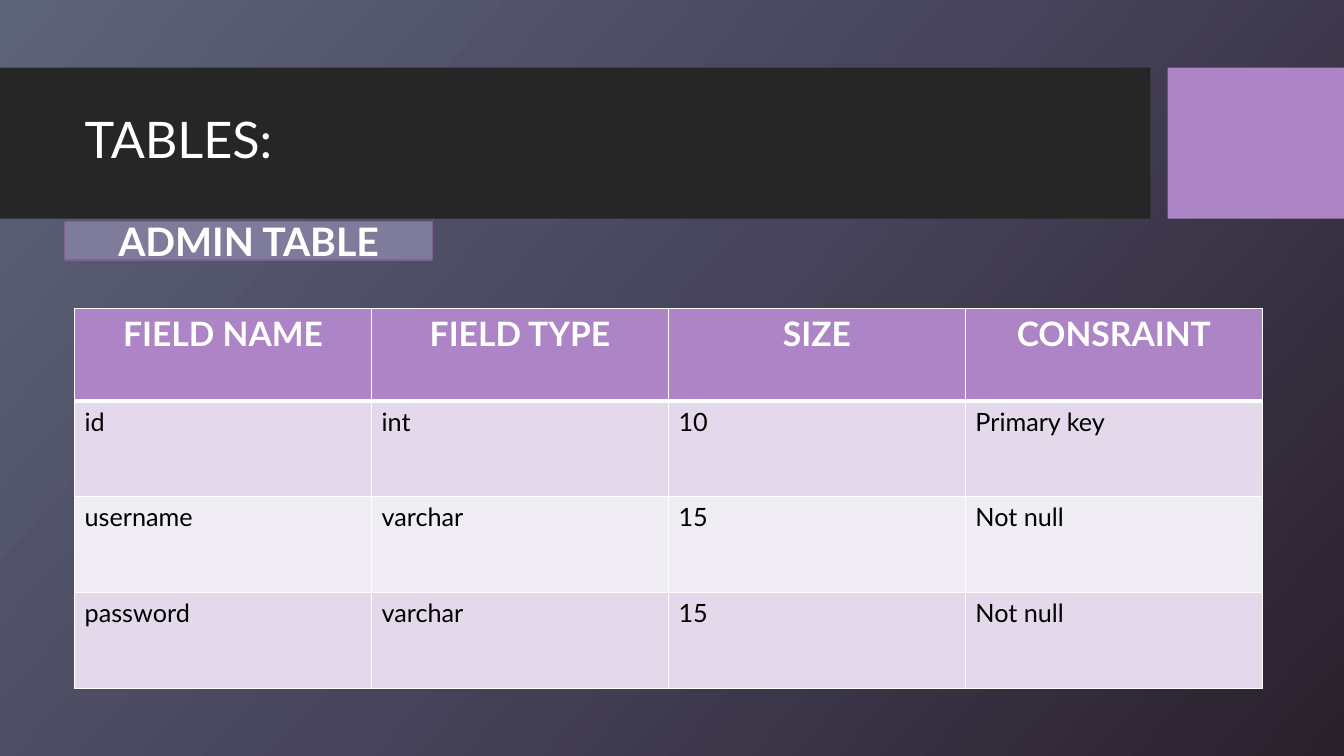
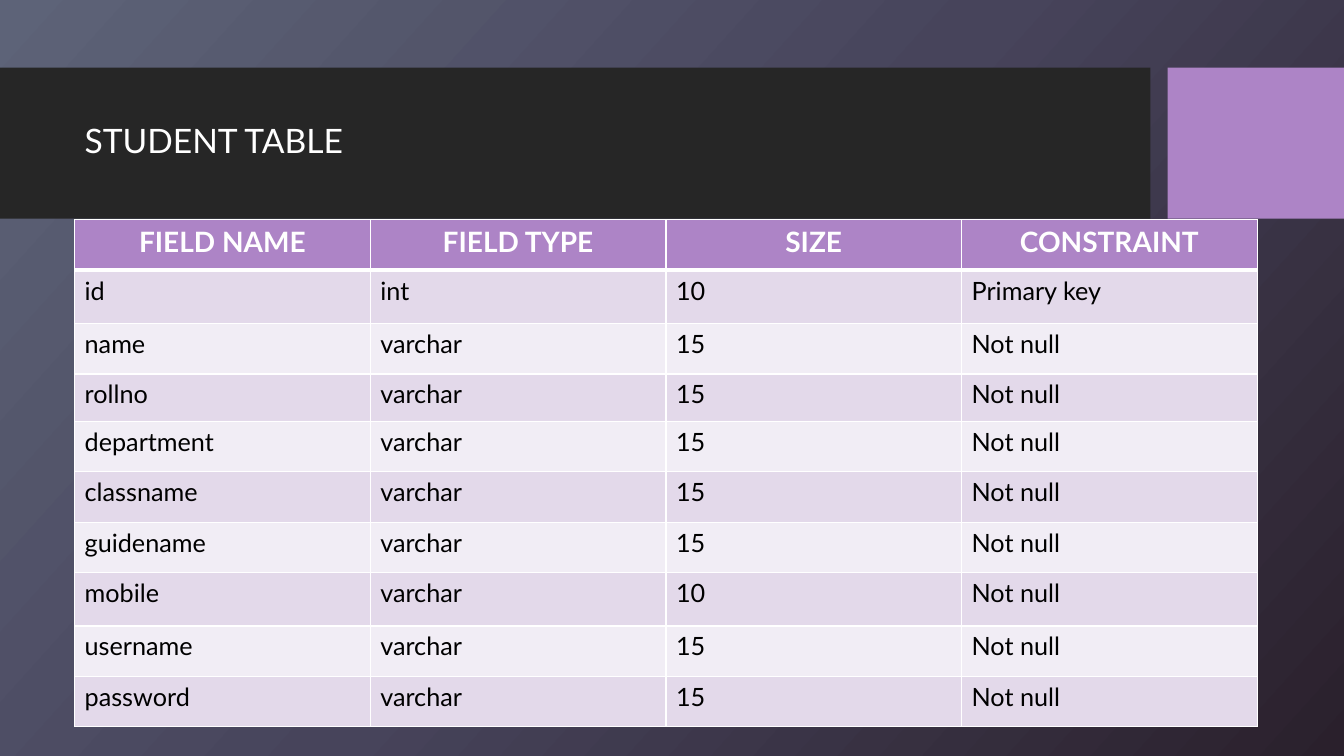
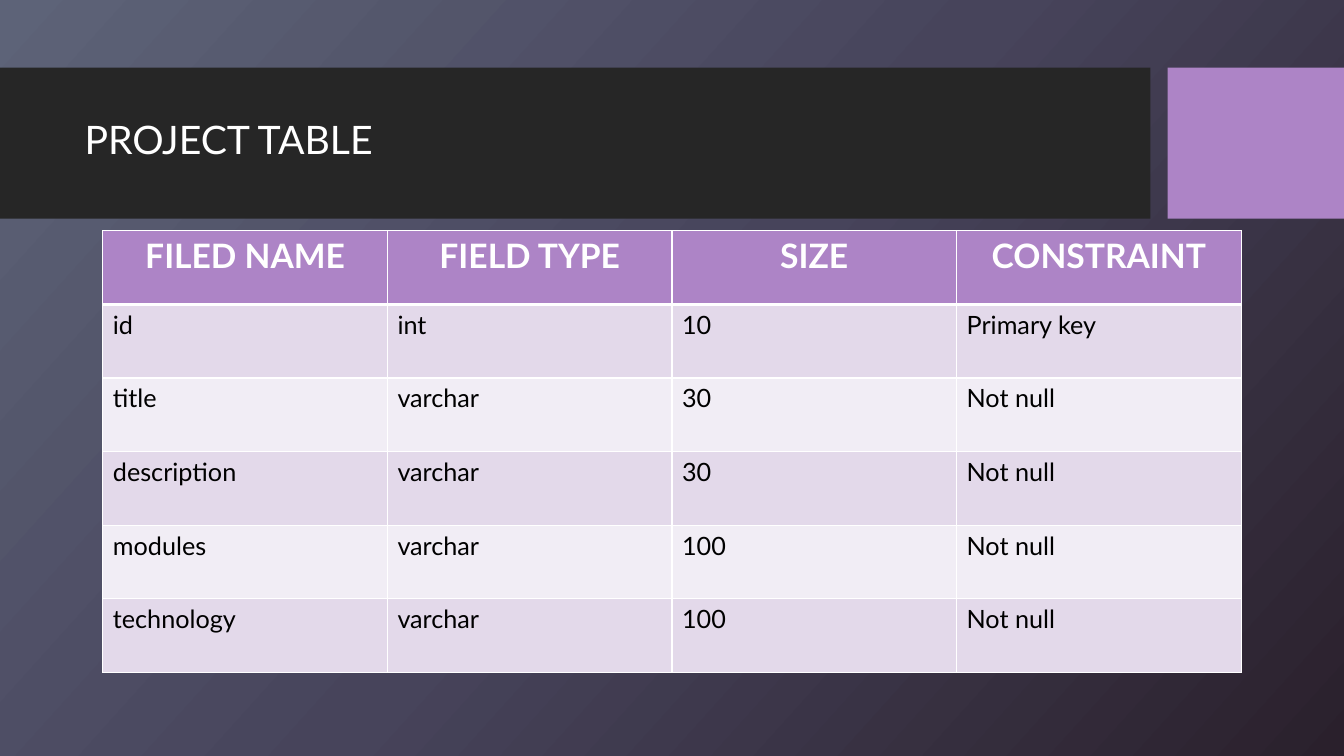
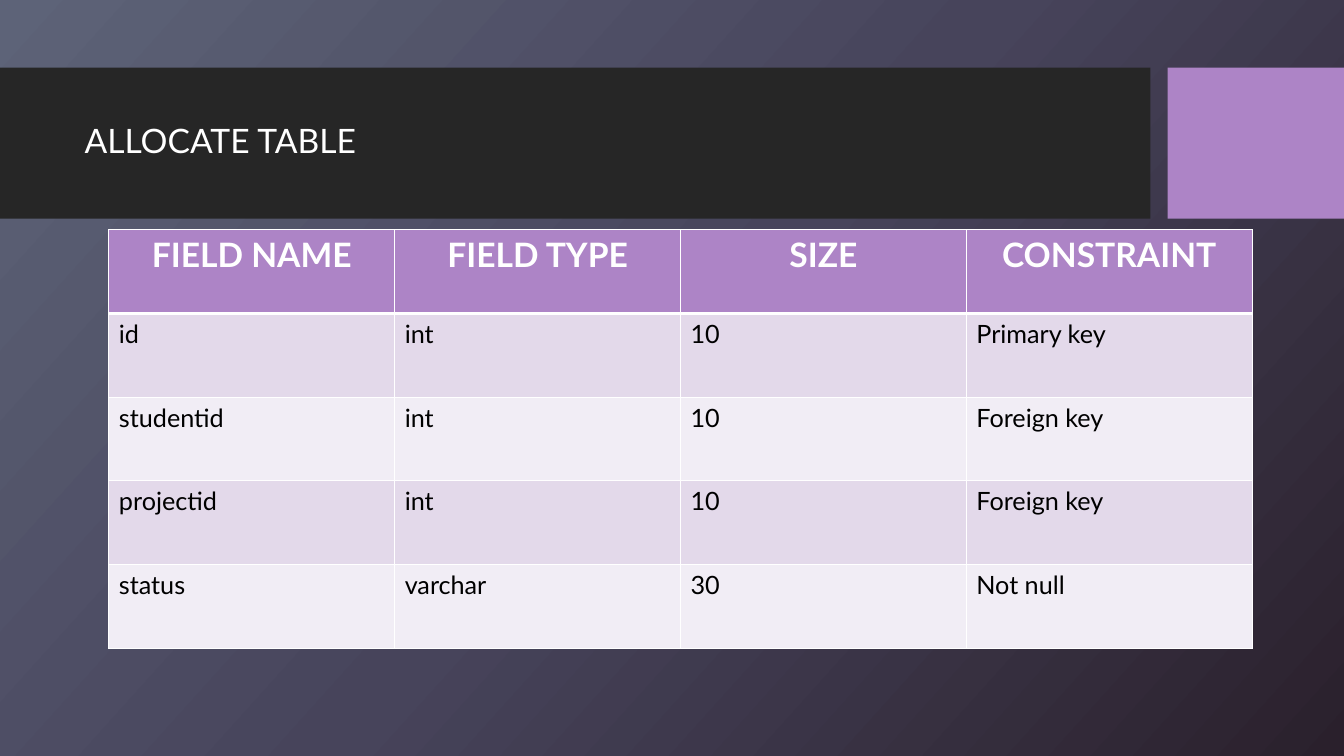
"""Builds four slides that describe the tables of a project database."""
from copy import deepcopy

from lxml.etree import SubElement
from pptx import Presentation
from pptx.dml.color import RGBColor
from pptx.enum.shapes import MSO_SHAPE
from pptx.enum.text import MSO_ANCHOR, PP_ALIGN
from pptx.oxml.ns import qn
from pptx.util import Inches, Pt

COLORS = {
    "band": "262626", "accent": "AD84C6", "label": "7F7B9A", "label_line": "806292",
    "odd": "E3D9EA", "even": "F1EDF5", "white": "FFFFFF", "black": "000000",
}
GRADIENT = [(0, "5D6378"), (0.5, "47445B"), (1, "2A202C")]
GRADIENT_ANGLE = 360 - 42
FONT = "Lato"
WIDTH, HEIGHT = 13.33, 7.5
BAND_TOP, BAND_HEIGHT = 0.67, 1.5
BAND_WIDTH, ACCENT_LEFT = 11.41, 11.58
TITLE_BOX = (0.74, 0.82, 10.51, 1.18)
LABEL_BOX = (0.64, 2.2, 3.65, 0.38)

HEADER = ["FIELD NAME", "FIELD TYPE", "SIZE", "CONSTRAINT"]
ID_ROW = ["id", "int", "10", "Primary key"]

SLIDES = [
    {
        "title": "TABLES:", "title_size": 36, "label": "ADMIN TABLE",
        "at": (0.74, 3.06), "width": 11.78, "heights": [0.92] + [0.95] * 3,
        "header_size": 24,
        "rows": [
            ["FIELD NAME", "FIELD TYPE", "SIZE", "CONSRAINT"],
            ID_ROW,
            ["username", "varchar", "15", "Not null"],
            ["password", "varchar", "15", "Not null"],
        ],
    },
    {
        "title": "STUDENT TABLE", "title_size": 24,
        "at": (0.74, 2.18), "width": 11.73,
        "heights": [0.5, 0.53, 0.5, 0.47, 0.5, 0.5, 0.5, 0.53, 0.5, 0.5],
        "header_size": 20,
        "rows": [
            HEADER,
            ID_ROW,
            ["name", "varchar", "15", "Not null"],
            ["rollno", "varchar", "15", "Not null"],
            ["department", "varchar", "15", "Not null"],
            ["classname", "varchar", "15", "Not null"],
            ["guidename", "varchar", "15", "Not null"],
            ["mobile", "varchar", "10", "Not null"],
            ["username", "varchar", "15", "Not null"],
            ["password", "varchar", "15", "Not null"],
        ],
    },
    {
        "title": "PROJECT TABLE", "title_size": 28,
        "at": (1.02, 2.29), "width": 11.29, "heights": [0.73] * 6,
        "header_size": 24,
        "rows": [
            ["FILED NAME", "FIELD TYPE", "SIZE", "CONSTRAINT"],
            ID_ROW,
            ["title", "varchar", "30", "Not null"],
            ["description", "varchar", "30", "Not null"],
            ["modules", "varchar", "100", "Not null"],
            ["technology", "varchar", "100", "Not null"],
        ],
    },
    {
        "title": "ALLOCATE TABLE", "title_size": 24,
        "at": (1.08, 2.28), "width": 11.34, "heights": [0.83] * 5,
        "header_size": 24,
        "rows": [
            HEADER,
            ID_ROW,
            ["studentid", "int", "10", "Foreign key"],
            ["projectid", "int", "10", "Foreign key"],
            ["status", "varchar", "30", "Not null"],
        ],
    },
]


def rgb(name):
    return RGBColor.from_string(COLORS[name])


def write(tf, text, size=18, color="white", bold=False, align=PP_ALIGN.LEFT, spacing=1.0):
    p = tf.paragraphs[0]
    p.alignment, p.line_spacing = align, spacing
    r = p.add_run()
    r.text = text
    r.font.name, r.font.size, r.font.bold = FONT, Pt(size), bold
    r.font.color.rgb = rgb(color)


def add_rect(s, box, fill, line=None):
    sp = s.shapes.add_shape(MSO_SHAPE.RECTANGLE, *map(Inches, box))
    sp.shadow.inherit = False
    sp.fill.solid()
    sp.fill.fore_color.rgb = rgb(fill)
    if line:
        sp.line.color.rgb = rgb(line)
        sp.line.width = Pt(1)
    else:
        sp.line.fill.background()
    return sp


def set_background(master):
    fill = master.background.fill
    fill.gradient()
    fill.gradient_angle = GRADIENT_ANGLE
    stops = master.element.find(".//" + qn("a:gsLst"))
    while len(stops) < len(GRADIENT):
        stops.append(deepcopy(stops[0]))
    for stop, (position, color) in zip(fill.gradient_stops, GRADIENT):
        stop.position = position
        stop.color.rgb = RGBColor.from_string(color)


def set_borders(cell, **widths):
    tcPr = cell._tc.get_or_add_tcPr()
    for side in "LRTB":
        ln = SubElement(tcPr, qn(f"a:ln{side}"), w=str(Pt(widths.get(side, 1))))
        fill = SubElement(ln, qn("a:solidFill"))
        SubElement(fill, qn("a:srgbClr"), val=COLORS["white"])


def add_table(s, at, width, heights, rows, header_size):
    n_cols = len(rows[0])
    size = (width, sum(heights))
    tbl = s.shapes.add_table(len(rows), n_cols, *map(Inches, at + size)).table
    tbl.first_row = tbl.horz_banding = False
    for col in tbl.columns:
        col.width = Inches(width / n_cols)
    for i, (height, row) in enumerate(zip(heights, rows)):
        tbl.rows[i].height = Inches(height)
        for j, text in enumerate(row):
            cell = tbl.cell(i, j)
            set_borders(cell, T=3 if i == 1 else 1, B=3 if i == 0 else 1)
            cell.fill.solid()
            if i == 0:
                cell.fill.fore_color.rgb = rgb("accent")
                write(cell.text_frame, text, size=header_size, bold=True,
                      align=PP_ALIGN.CENTER)
            else:
                cell.fill.fore_color.rgb = rgb("odd" if i % 2 else "even")
                write(cell.text_frame, text, color="black")


def add_title(s, text, size):
    add_rect(s, (0, BAND_TOP, BAND_WIDTH, BAND_HEIGHT), "band")
    add_rect(s, (ACCENT_LEFT, BAND_TOP, WIDTH - ACCENT_LEFT, BAND_HEIGHT), "accent")
    tf = s.shapes.add_textbox(*map(Inches, TITLE_BOX)).text_frame
    tf.word_wrap = True
    tf.vertical_anchor = MSO_ANCHOR.MIDDLE
    write(tf, text, size=size, spacing=0.9)


def add_label(s, text):
    tf = add_rect(s, LABEL_BOX, "label", line="label_line").text_frame
    tf.vertical_anchor = MSO_ANCHOR.MIDDLE
    write(tf, text, size=28, bold=True, align=PP_ALIGN.CENTER)


def main():
    prs = Presentation()
    prs.slide_width, prs.slide_height = Inches(WIDTH), Inches(HEIGHT)
    set_background(prs.slide_master)
    for item in SLIDES:
        s = prs.slides.add_slide(prs.slide_layouts[6])
        add_title(s, item["title"], item["title_size"])
        if "label" in item:
            add_label(s, item["label"])
        add_table(s, item["at"], item["width"], item["heights"], item["rows"],
                  item["header_size"])
    prs.save("out.pptx")


if __name__ == "__main__":
    main()
